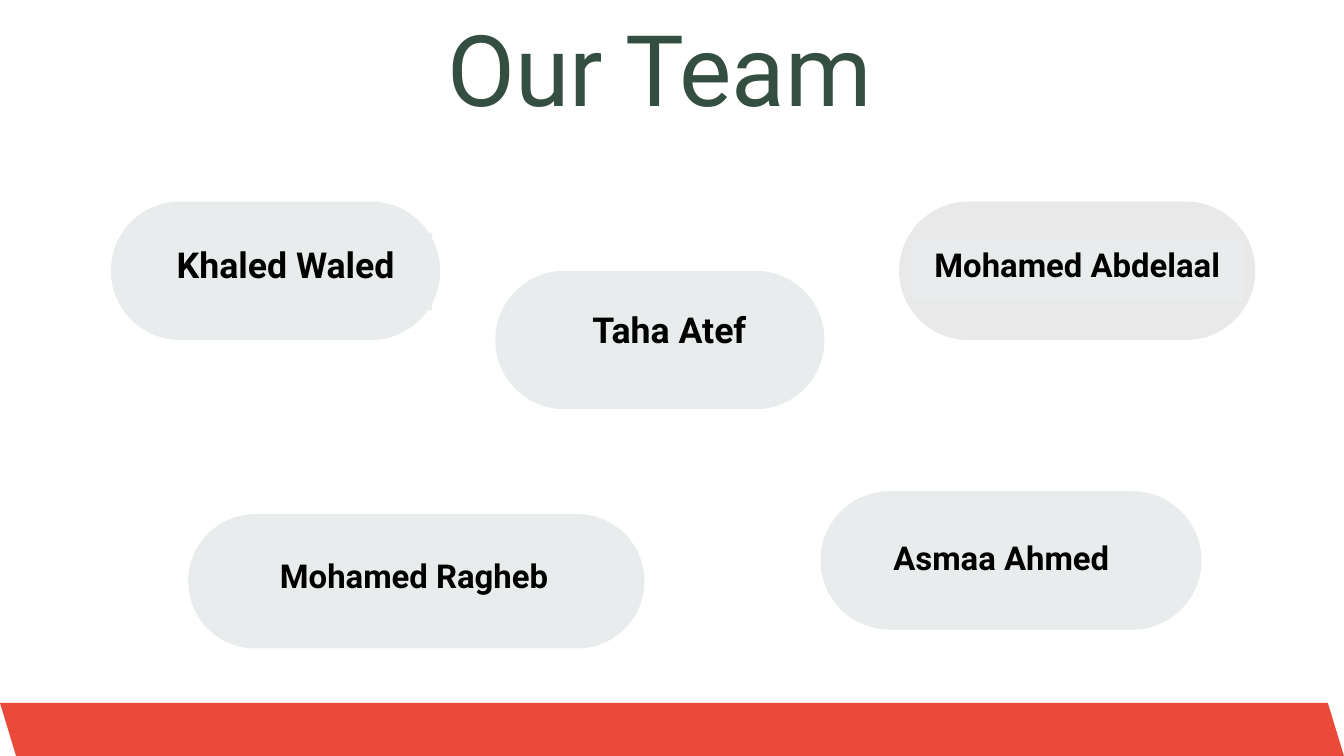
from dataclasses import dataclass

from pptx import Presentation
from pptx.dml.color import RGBColor
from pptx.enum.shapes import MSO_SHAPE as SHAPE
from pptx.enum.text import MSO_ANCHOR as ANCHOR, PP_ALIGN as ALIGN
from pptx.util import Inches, Pt


@dataclass(frozen=True)
class Theme:
    font: str = "Roboto"
    title: str = "344E41"
    name: str = "000000"
    pill: str = "E9ECED"
    pill_grey: str = "E9E9E9"
    footer: str = "EB493A"
    title_size: float = 105.8
    title_line: float = 91
    name_size: float = 35.2
    name_size_large: float = 38.2
    name_spacing: float = 1.4  # line height as a multiple of the type size


THEME = Theme()

# Name, pill box, label box, height of the panel behind the label, size, pill colour
TEAM = [
    ("Mohamed Abdelaal", (13.38, 3, 5.3, 2.06), (13.58, 3.29, 4.9, 1.2), 0.92,
     THEME.name_size, THEME.pill_grey),
    ("Asmaa Ahmed", (12.21, 7.31, 5.67, 2.06), (12.72, 7.65, 4.36, 1.2), 0.92,
     THEME.name_size, THEME.pill),
    ("Mohamed Ragheb", (2.8, 7.65, 6.79, 2), (3.61, 7.65, 5.1, 1.72), 1.45,
     THEME.name_size, THEME.pill),
    ("Khaled Waled", (1.65, 3, 4.9, 2.06), (2.07, 3.14, 4.36, 1.47), 1.15,
     THEME.name_size_large, THEME.pill),
    ("Taha Atef", (7.37, 4.03, 4.9, 2.06), (7.92, 4.17, 4.08, 1.34), 1.03,
     THEME.name_size_large, THEME.pill),
]


def paint(sp, color):
    """Give a shape a flat fill with no line or shadow."""
    sp.shadow.inherit = False
    sp.fill.solid()
    sp.fill.fore_color.rgb = RGBColor.from_string(color)
    sp.line.fill.background()


def add_block(s, kind, box, color):
    sp = s.shapes.add_shape(kind, *map(Inches, box))
    paint(sp, color)
    return sp


def add_text(s, text, box, size, line, color, bold=False, inset=0, anchor=ANCHOR.TOP):
    tf = s.shapes.add_textbox(*map(Inches, box)).text_frame
    frame = {"word_wrap": True, "vertical_anchor": anchor}
    frame.update({f"margin_{side}": Inches(inset)
                  for side in ("left", "top", "right", "bottom")})
    for key, value in frame.items():
        setattr(tf, key, value)
    p = tf.paragraphs[0]
    p.alignment = ALIGN.CENTER
    p.line_spacing = Pt(line)
    r = p.add_run()
    r.text = text
    for key, value in {"name": THEME.font, "size": Pt(size), "bold": bold}.items():
        setattr(r.font, key, value)
    r.font.color.rgb = RGBColor.from_string(color)


def add_member(s, name, pill, label, panel_height, size, color):
    """Draw a pill, the panel on it and the name; panel and label share a bottom edge."""
    sp = add_block(s, SHAPE.ROUNDED_RECTANGLE, pill, color)
    sp.adjustments[0] = 0.5
    left, top, width, height = label
    panel = (left, top + height - panel_height, width, panel_height)
    add_block(s, SHAPE.RECTANGLE, panel, THEME.pill)
    add_text(s, name, label, size, size * THEME.name_spacing, THEME.name,
             bold=True, inset=0.06, anchor=ANCHOR.MIDDLE)


def add_polygon(s, points, color):
    start, *rest = [(Inches(x), Inches(y)) for x, y in points]
    builder = s.shapes.build_freeform(*start)
    builder.add_line_segments(rest, close=True)
    paint(builder.convert_to_shape(), color)


def main():
    prs = Presentation()
    prs.slide_width, prs.slide_height = Inches(20), Inches(11.25)
    s = prs.slides.add_slide(prs.slide_layouts[6])

    # Team members
    for member in TEAM:
        add_member(s, *member)

    # Title
    add_text(s, "Our Team", (3.61, 0.61, 12.42, 1.4),
             THEME.title_size, THEME.title_line, THEME.title)

    # Slanted footer band
    add_polygon(s, [(0, 10.46), (19.76, 10.46), (20, 11.25), (0.24, 11.25)], THEME.footer)

    prs.save("out.pptx")


if __name__ == "__main__":
    main()
